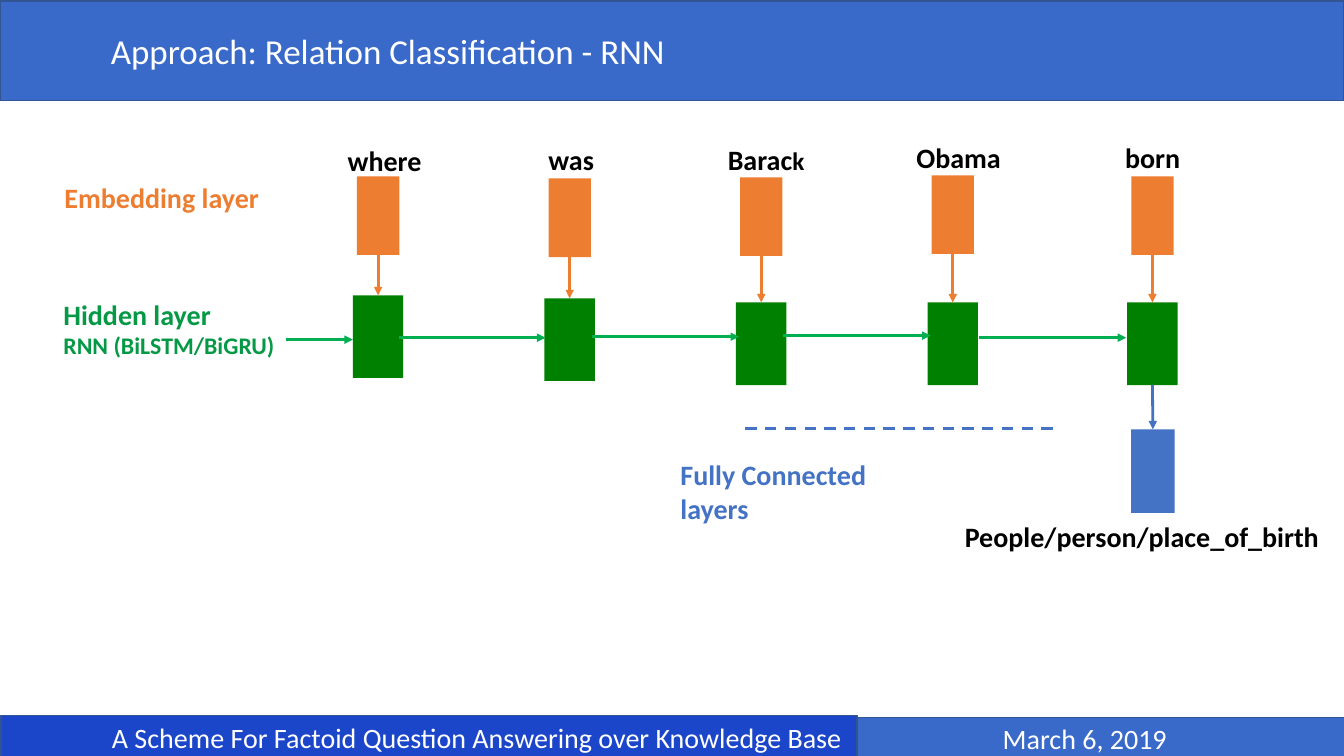
from pptx import Presentation
from pptx.dml.color import RGBColor
from pptx.enum.dml import MSO_LINE
from pptx.enum.shapes import MSO_CONNECTOR, MSO_SHAPE
from pptx.enum.text import MSO_ANCHOR, PP_ALIGN
from pptx.oxml.ns import qn
from pptx.util import Inches, Pt
from lxml import etree

RECT = MSO_SHAPE.RECTANGLE
STRAIGHT = MSO_CONNECTOR.STRAIGHT
DASH = MSO_LINE.DASH
MIDDLE = MSO_ANCHOR.MIDDLE
LEFT, CENTER = PP_ALIGN.LEFT, PP_ALIGN.CENTER
BOTTOM, TOP = 2, 0

ORANGE, GREEN, BLUE = "ED7D31", "008000", "4472C4"
ARROW, LABEL = "00B050", "059946"
BLACK, WHITE = "000000", "FFFFFF"
BAR, DARK, EDGE = "3A6AC9", "1B46CA", "325491"

# word, word left, word top, embedding left, embedding top, hidden top
STEPS = [
    ("where", 3.35, 1.37, 3.54, 1.75, 2.93),
    ("was", 5.34, 1.36, 5.44, 1.77, 2.96),
    ("Barac", 7.12, 1.36, 7.34, 1.76, 3),
    ("Obama", 8.99, 1.34, 9.24, 1.74, 3),
    ("born", 11.06, 1.34, 11.22, 1.75, 3),
]
FLOWS = [
    (2.84, 3.5, 3.37),
    (3.96, 5.41, 3.35),
    (5.87, 7.33, 3.34),
    (7.77, 9.23, 3.33),
    (9.71, 11.17, 3.35),
]


def color(code):
    return RGBColor.from_string(code)


def style(para, size, code, bold=False):
    font = para.font
    font.name = "Calibri"
    font.size = Pt(size)
    font.bold = bold
    font.color.rgb = color(code)


def block(slide, left, top, width, height, fill):
    shape = slide.shapes.add_shape(
        RECT, Inches(left), Inches(top), Inches(width), Inches(height))
    shape.shadow.inherit = False
    shape.fill.solid()
    shape.fill.fore_color.rgb = color(fill)
    shape.line.fill.background()
    return shape


def banner(slide, box, fill, text, size, align, inset, right=0.1):
    shape = block(slide, *box, fill)
    shape.line.color.rgb = color(EDGE)
    shape.line.width = Pt(1)
    frame = shape.text_frame
    frame.word_wrap = True
    frame.vertical_anchor = MIDDLE
    frame.margin_left = Inches(inset)
    frame.margin_right = Inches(right)
    para = frame.paragraphs[0]
    para.text = text
    para.alignment = align
    style(para, size, WHITE)


def label(slide, left, top, width, height, lines, code, wrap=True):
    box = slide.shapes.add_textbox(
        Inches(left), Inches(top), Inches(width), Inches(height))
    frame = box.text_frame
    frame.word_wrap = wrap
    for i, (text, size) in enumerate(lines):
        para = frame.add_paragraph() if i else frame.paragraphs[0]
        para.text = text
        style(para, size, code, True)
    return frame.paragraphs[0]


def line(slide, start, end, code):
    link = slide.shapes.add_connector(
        STRAIGHT, *(Inches(v) for v in (*start, *end)))
    link.line.color.rgb = color(code)
    link.line.width = Pt(2)
    etree.SubElement(link._element.spPr, qn("a:effectLst"))
    return link


def arrow(slide, start, end, code):
    link = line(slide, start, end, code)
    tail = etree.SubElement(link.line._get_or_add_ln(), qn("a:tailEnd"))
    tail.set("type", "triangle")
    return link


def drop(slide, upper, lower, code):
    link = arrow(slide, (0, 0), (0, 0), code)
    link.begin_connect(upper, BOTTOM)
    link.end_connect(lower, TOP)


def main():
    deck = Presentation()
    deck.slide_width = Inches(13.33)
    deck.slide_height = Inches(7.5)
    slide = deck.slides.add_slide(deck.slide_layouts[6])

    banner(slide, (0, 0.01, 13.33, 0.99), BAR,
           "Approach: Relation Classification - RNN", 25, LEFT, 1.1)
    banner(slide, (0.01, 7.1, 8.49, 0.43), DARK,
           "A Scheme For Factoid Question Answering over Knowledge Base",
           20, LEFT, 1.1)
    banner(slide, (8.5, 7.12, 4.85, 0.41), BAR,
           "March 6, 2019", 20, CENTER, 0.1, 0.43)

    for word, left, top, embed_x, embed_y, hidden_y in STEPS:
        embed = block(slide, embed_x, embed_y, 0.42, 0.78, ORANGE)
        hidden = block(slide, embed_x - 0.04, hidden_y, 0.5, 0.82, GREEN)
        drop(slide, embed, hidden, ORANGE)
        name = label(slide, left, top, 1.2, 0.44, [(word, 20)], BLACK, False)
        if word == "Barac":
            last = name.add_run()
            last.text = "k"
            last.font.size = Pt(18)
    for start, end, y in FLOWS:
        arrow(slide, (start, y), (end, y), ARROW)

    dense = block(slide, 11.22, 4.26, 0.43, 0.83, BLUE)
    drop(slide, hidden, dense, BLUE)
    line(slide, (10.44, 4.25), (7.32, 4.25), BLUE).line.dash_style = DASH

    label(slide, 0.54, 1.74, 2.32, 0.53, [("Embedding layer", 20)], ORANGE)
    label(slide, 0.53, 2.9, 2.32, 1.06,
          [("Hidden layer", 20), ("RNN (BiLSTM/BiGRU)", 17)], LABEL)
    label(slide, 6.65, 4.49, 2.32, 0.76,
          [("Fully Connected layers", 20)], BLUE)
    label(slide, 9.47, 5.1, 3.75, 0.44,
          [("People/person/place_of_birth", 20)], BLACK, False)
    deck.save("out.pptx")


if __name__ == "__main__":
    main()
